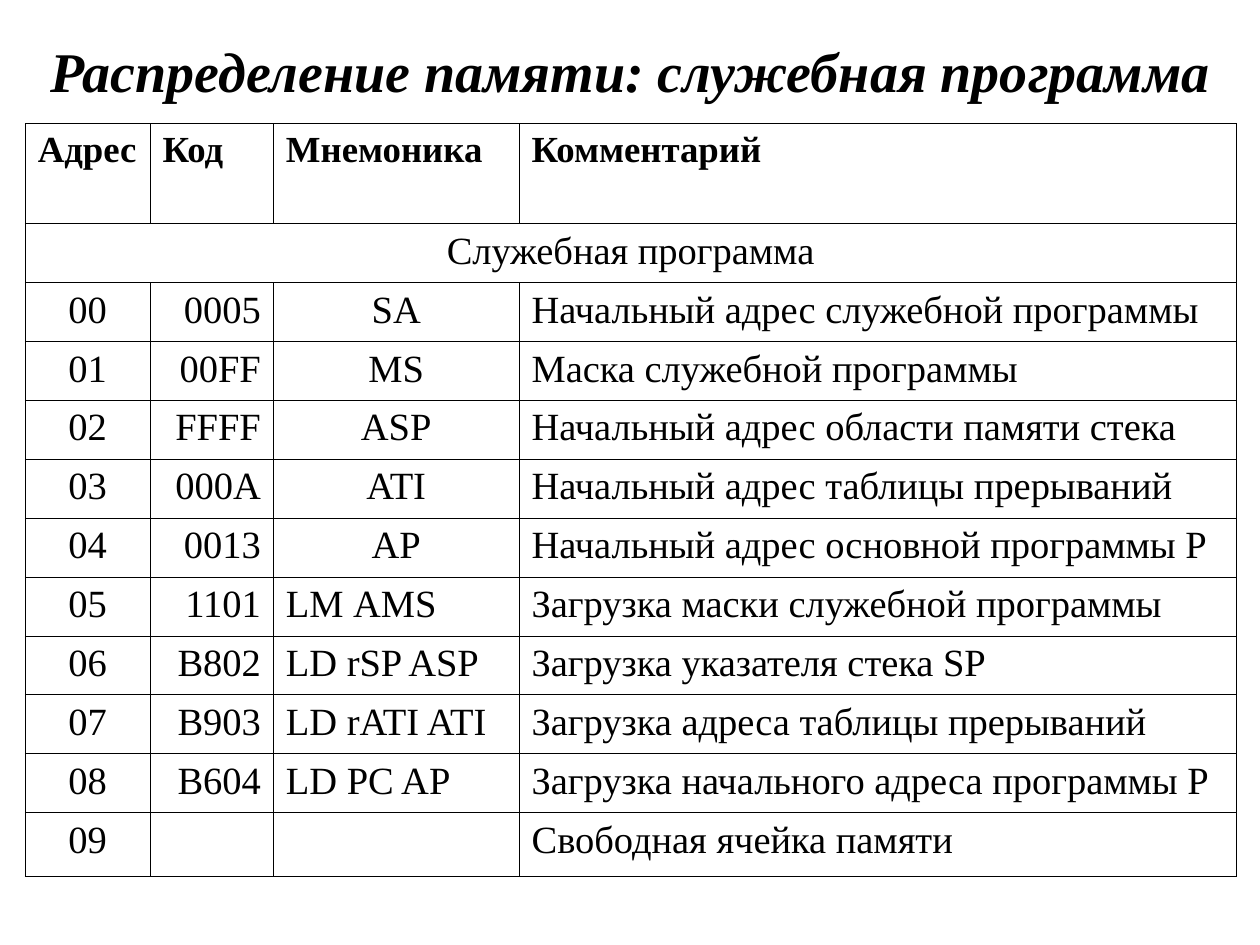
from dataclasses import dataclass
from lxml import etree
from pptx import Presentation
from pptx.dml.color import RGBColor
from pptx.enum.text import MSO_ANCHOR, PP_ALIGN
from pptx.oxml.ns import qn
from pptx.util import Inches, Pt

LEFT, MID, RIGHT, JUST = PP_ALIGN.LEFT, PP_ALIGN.CENTER, PP_ALIGN.RIGHT, PP_ALIGN.JUSTIFY
MIDDLE = MSO_ANCHOR.MIDDLE


@dataclass(frozen=True)
class Theme:
    font: str = "Times New Roman"
    ink: str = "000000"
    title: float = 32
    head: float = 21
    body: float = 22
    line: float = 0.45


THEME = Theme()
TITLE = "Распределение памяти: служебная программа"
HEADS = ("Адрес", "Код", "Мнемоника", "Комментарий")
GROUP = "Служебная программа"
CODES = (
    ("0005", "SA", "Начальный адрес служебной программы"),
    ("00FF", "MS", "Маска служебной программы"),
    ("FFFF", "ASP", "Начальный адрес области памяти стека"),
    ("000A", "ATI", "Начальный адрес таблицы прерываний"),
    ("0013", "AP", "Начальный адрес основной программы P"),
    ("1101", "LM АMS", "Загрузка маски служебной программы"),
    ("B802", "LD rSP ASP", "Загрузка указателя стека SP"),
    ("B903", "LD rATI ATI", "Загрузка адреса таблицы прерываний"),
    ("B604", "LD PC AP", "Загрузка начального адреса программы P"),
    ("", "", "Свободная ячейка памяти"),
)
COLS = (0.99, 0.98, 1.95, 5.69)
HEAD_H, ROW_H, LAST_H = 0.8, 0.47, 0.51


def write(frame, text, size, align, bold=False, italic=False):
    para = frame.paragraphs[0]
    para.text = text
    para.alignment = align
    font = para.font
    font.name, font.size = THEME.font, Pt(size)
    font.bold, font.italic = bold, italic
    font.color.rgb = RGBColor.from_string(THEME.ink)


def frame_cell(cell):
    props = cell._tc.get_or_add_tcPr()
    for side in ("lnL", "lnR", "lnT", "lnB"):
        line = etree.SubElement(props, qn(f"a:{side}"), w=str(int(Pt(THEME.line))))
        fill = etree.SubElement(line, qn("a:solidFill"))
        etree.SubElement(fill, qn("a:srgbClr"), val=THEME.ink)
    cell.fill.background()
    cell.margin_left = cell.margin_right = Inches(0.1)
    cell.margin_top = cell.margin_bottom = Inches(0.05)


def add_title(slide, left, top, width, height):
    box = slide.shapes.add_textbox(Inches(left), Inches(top), Inches(width), Inches(height))
    frame = box.text_frame
    frame.word_wrap = True
    frame.vertical_anchor = MIDDLE
    write(frame, TITLE, THEME.title, MID, bold=True, italic=True)


def add_codes(slide, left, top, width, height):
    count = len(CODES) + 2
    table = slide.shapes.add_table(
        count, len(COLS), Inches(left), Inches(top), Inches(width), Inches(height)
    ).table
    table.first_row = table.horz_banding = False
    for col, size in zip(table.columns, COLS):
        col.width = Inches(size * width / sum(COLS))
    sizes = [HEAD_H] + [ROW_H] * (count - 2) + [LAST_H]
    for row, size in zip(table.rows, sizes):
        row.height = Inches(size * height / sum(sizes))
    for cell in table.iter_cells():
        frame_cell(cell)

    for col, text in enumerate(HEADS):
        write(table.cell(0, col).text_frame, text, THEME.head, JUST, bold=True)
    group = table.cell(1, 0)
    group.merge(table.cell(1, len(COLS) - 1))
    write(group.text_frame, GROUP, THEME.body, MID)
    for index, (code, name, note) in enumerate(CODES):
        side = LEFT if " " in name else MID
        parts = ((f"{index:02}", MID), (code, RIGHT), (name, side), (note, JUST))
        for col, (text, align) in enumerate(parts):
            write(table.cell(index + 2, col).text_frame, text, THEME.body, align)


def main():
    deck = Presentation()
    deck.slide_width, deck.slide_height = Inches(10), Inches(7.5)
    slide = deck.slides.add_slide(deck.slide_layouts[6])
    add_title(slide, 0.2, 0.17, 9.61, 0.77)
    add_codes(slide, 0.2, 0.98, 9.61, 5.98)
    deck.save("out.pptx")


if __name__ == "__main__":
    main()
